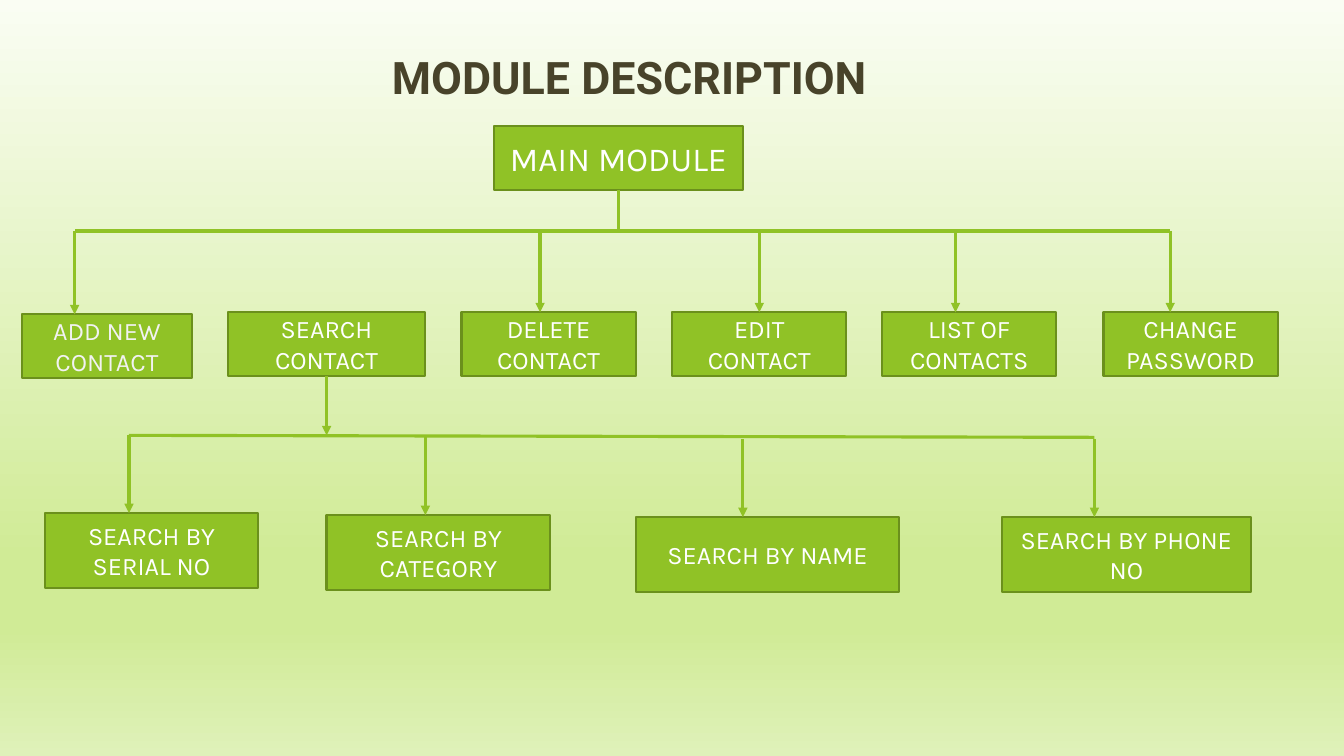
from pptx import Presentation
from pptx.dml.color import RGBColor
from pptx.enum.shapes import MSO_CONNECTOR, MSO_SHAPE
from pptx.enum.text import MSO_ANCHOR, PP_ALIGN
from pptx.oxml.ns import qn
from pptx.oxml.xmlchemy import OxmlElement
from pptx.util import Cm, Pt

COLORS = {
    "title": "48432A", "box": "90C226", "border": "6B901C",
    "text": "FFFFFF", "soft_text": "F2F2F2",
}
BACKGROUND = [(0, "FAFDF3"), (74, "D0EB96"), (83, "D0EB96"), (100, "DFF1B9")]

MODULE_BUS = 5.82
SEARCH_DROP = 1.96
MODULES = [
    ("ADD NEW CONTACT", 0.56, 7.92, 4.27, 1.88, "soft_text"),
    ("SEARCH CONTACT", 5.74, 7.87, 4.98, None, "text"),
    ("DELETE CONTACT", 11.63, 7.87, 4.39, 13.61, "text"),
    ("EDIT CONTACT", 16.94, 7.87, 4.39, "middle", "text"),
    ("LIST OF CONTACTS", 22.23, 7.87, 4.39, 24.08, "text"),
    ("CHANGE PASSWORD", 27.81, 7.87, 4.39, 29.49, "text"),
]
SEARCHES = [
    ("SEARCH BY SERIAL NO", 1.14, 12.93, 5.36, 3.25),
    ("SEARCH BY CATEGORY", 8.23, 12.98, 5.64, 10.72),
    ("SEARCH BY NAME", 16.03, 13.03, 6.63, 18.72),
    ("SEARCH BY PHONE NO", 25.25, 13.03, 6.27, 27.58),
]


def color(name):
    return RGBColor.from_string(COLORS[name])


def paint_background(page):
    fill = page.background.fill
    fill.gradient()
    fill.gradient_angle = 270
    stops = page.element.find(".//" + qn("a:gsLst"))
    for stop in list(stops):
        stops.remove(stop)
    for percent, value in BACKGROUND:
        stop = OxmlElement("a:gs")
        stop.set("pos", str(percent * 1000))
        tint = OxmlElement("a:srgbClr")
        tint.set("val", value)
        stop.append(tint)
        stops.append(stop)


def write(box, text, size, font, ink, bold=False):
    box.text_frame.word_wrap = True
    para = box.text_frame.paragraphs[0]
    para.text = text
    para.alignment = PP_ALIGN.CENTER
    para.font.size = Pt(size)
    para.font.name = font
    para.font.bold = bold
    para.font.color.rgb = color(ink)


def add_title(page, text):
    box = page.shapes.add_textbox(Cm(5.21), Cm(1.12), Cm(21.31), Cm(2.39))
    write(box, text, 32, "Roboto", "title", bold=True)


def add_box(page, text, left, top, width, height, size=18, ink="text"):
    box = page.shapes.add_shape(
        MSO_SHAPE.RECTANGLE, Cm(left), Cm(top), Cm(width), Cm(height))
    box.shadow.inherit = False
    box.fill.solid()
    box.fill.fore_color.rgb = color("box")
    box.line.color.rgb = color("border")
    box.line.width = Pt(1.5)
    box.text_frame.vertical_anchor = MSO_ANCHOR.MIDDLE
    write(box, text, size, "Karla", ink)
    return box


def add_line(page, start, end, arrow=False, weight=2.25):
    line = page.shapes.add_connector(MSO_CONNECTOR.STRAIGHT, *start, *end)
    line.line.color.rgb = color("box")
    line.line.width = Pt(weight)
    if arrow:
        tail = OxmlElement("a:tailEnd")
        tail.set("type", "triangle")
        line.line._get_or_add_ln().append(tail)
    line._element.spPr.append(OxmlElement("a:effectLst"))
    return line


def middle(box):
    return box.left + box.width // 2


def add_modules(page, main_box):
    bus = Cm(MODULE_BUS)
    trunk = middle(main_box)
    stem = add_line(page, (trunk, main_box.top + main_box.height),
                    (trunk, bus), weight=2.5)
    stem.begin_connect(main_box, 2)
    for end in (MODULES[0][4], MODULES[-1][4]):
        add_line(page, (trunk, bus), (Cm(end), bus))
    boxes = {}
    for text, left, top, width, drop, ink in MODULES:
        box = add_box(page, text, left, top, width, 1.6, ink=ink)
        boxes[text] = box
        if drop is None:
            continue
        centred = drop == "middle"
        x = middle(box) if centred else Cm(drop)
        arrow = add_line(page, (x, bus), (x, box.top), arrow=True)
        if centred:
            arrow.end_connect(box, 0)
    return boxes


def add_searches(page, search_box):
    x = middle(search_box)
    first, last = SEARCHES[0], SEARCHES[-1]
    stem = add_line(page, (x, search_box.top + search_box.height),
                    (x, Cm(10.97)), arrow=True)
    stem.begin_connect(search_box, 2)
    add_line(page, (Cm(last[4]), Cm(11.02)), (Cm(first[4]), Cm(10.97)))
    for text, left, top, width, drop in SEARCHES:
        add_box(page, text, left, top, width, 1.88)
        add_line(page, (Cm(drop), Cm(top - SEARCH_DROP)),
                 (Cm(drop), Cm(top)), arrow=True)


def main():
    deck = Presentation()
    deck.slide_width = Cm(33.87)
    deck.slide_height = Cm(19.05)
    page = deck.slides.add_slide(deck.slide_layouts[6])
    paint_background(page)
    add_title(page, "MODULE DESCRIPTION")
    main_box = add_box(page, "MAIN MODULE", 12.45, 3.18, 6.27, 1.6, size=24)
    boxes = add_modules(page, main_box)
    add_searches(page, boxes["SEARCH CONTACT"])
    deck.save("out.pptx")


if __name__ == "__main__":
    main()
